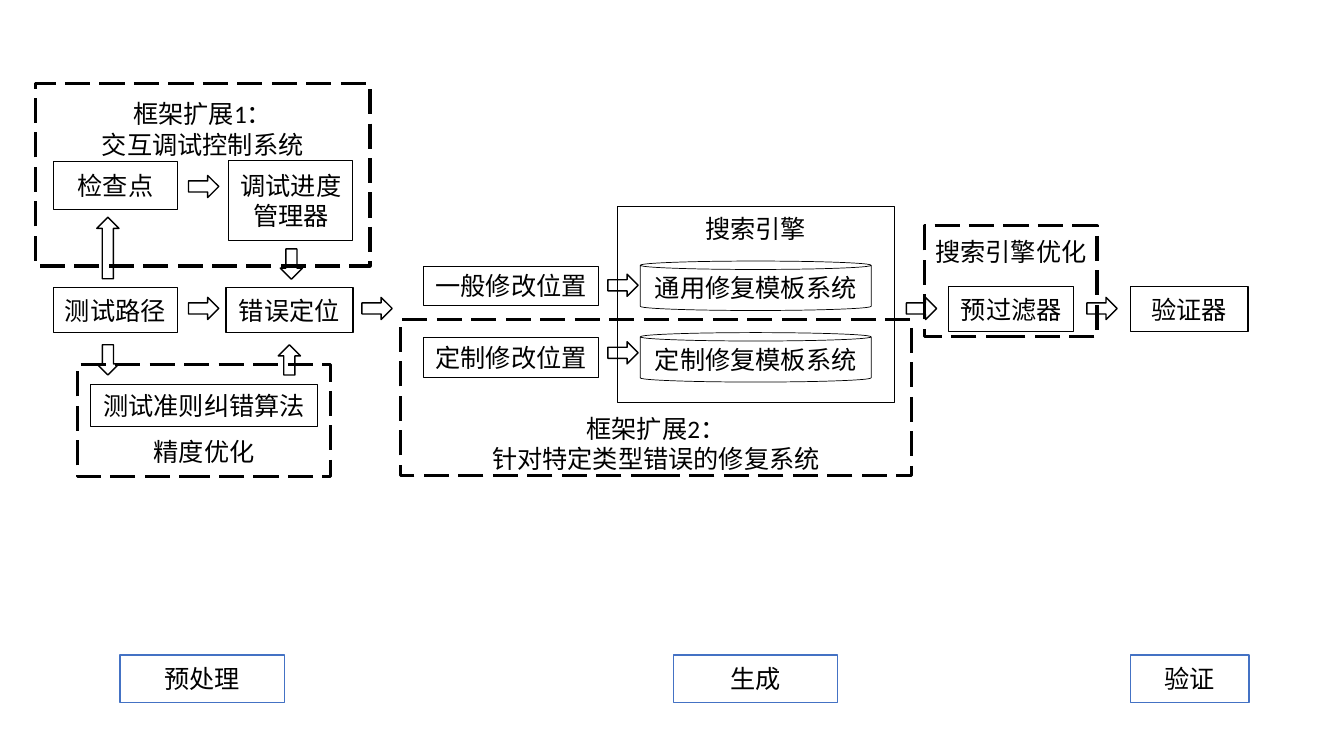
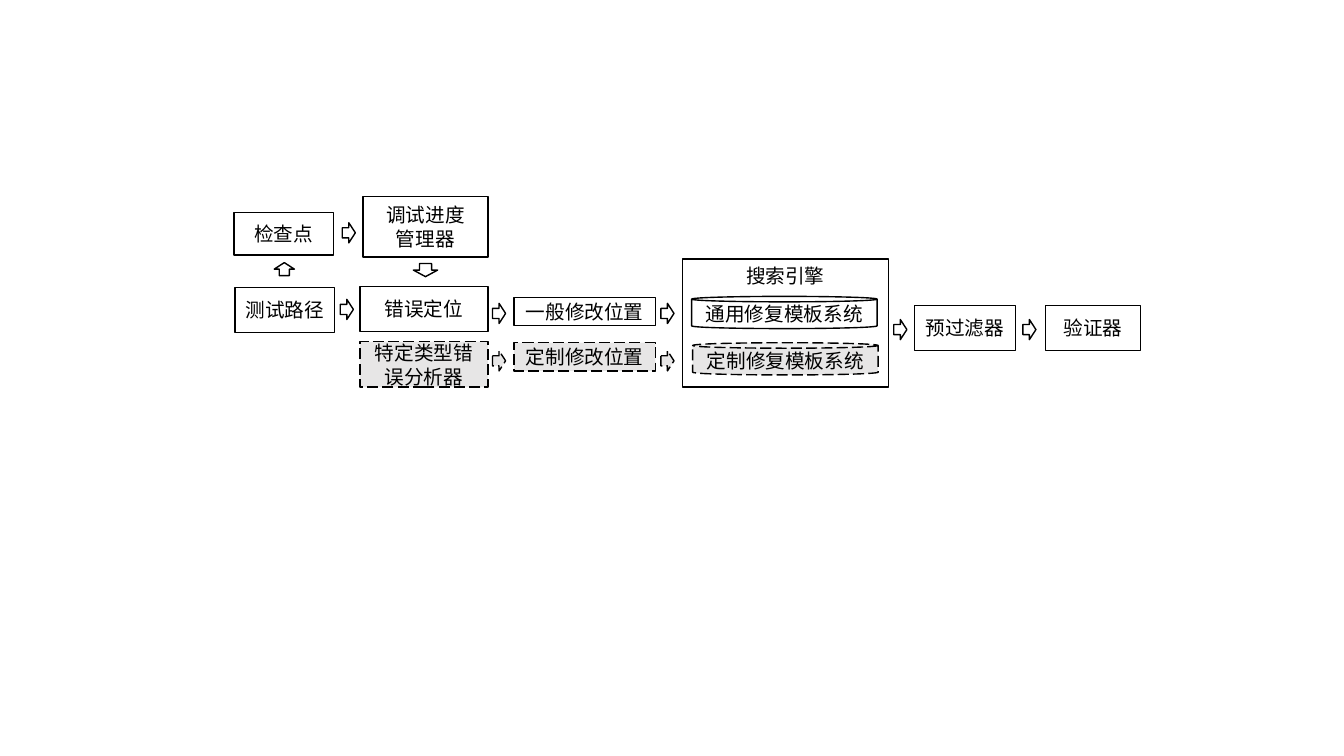
from dataclasses import dataclass
from typing import Any

from pptx import Presentation
from pptx import util as u
from pptx.dml import color
from pptx.enum import dml, shapes, text

# The grid has one-inch columns and rows.
COLUMNS, ROWS = 13.33, 7.5
CELL = u.Inches(1)
FONT = "Calibri"
BLACK, WHITE, GREY, BLUE = "000000", "FFFFFF", "E7E6E6", "4472C4"
RECT = shapes.MSO_SHAPE.RECTANGLE
CAN = shapes.MSO_SHAPE.CAN
ARROW = shapes.MSO_SHAPE.RIGHT_ARROW
TURNS = {"right": 0, "down": 90, "up": 270}
ANCHORS = {"top": text.MSO_ANCHOR.TOP, "middle": text.MSO_ANCHOR.MIDDLE,
           "bottom": text.MSO_ANCHOR.BOTTOM}
LID = 0.17


def cells(count):
    """Turn a number of grid cells into a length."""
    return u.Emu(round(count * CELL))


def paint(target, code):
    """Give a fill or font colour object the colour of a hex string."""
    target.rgb = color.RGBColor.from_string(code)


@dataclass
class Style:
    """Text size, fill, line width and arrow size of one diagram."""
    size: float
    fill: Any
    line: float
    arrow: tuple


@dataclass
class Region:
    """A part of a page; everything in it is placed from its top left corner."""
    page: Any
    style: Style
    left: float
    top: float

    def outline(self, kind, place, fill, line, edge=BLACK, dashed=False):
        """Add a preset shape with its fill and line."""
        x, y, width, height = place
        shape = self.page.shapes.add_shape(
            kind, cells(self.left + x), cells(self.top + y),
            cells(width), cells(height))
        shape.shadow.inherit = False
        if fill:
            shape.fill.solid()
            paint(shape.fill.fore_color, fill)
        else:
            shape.fill.background()
        paint(shape.line.color, edge)
        shape.line.width = u.Pt(line)
        if dashed:
            shape.line.dash_style = dml.MSO_LINE.LONG_DASH
        return shape

    def node(self, label, place, kind=RECT, line=None, edge=BLACK,
             fill=None, dashed=False, anchor="middle", inset=0.05):
        """Add a labelled shape."""
        shape = self.outline(kind, place, fill or self.style.fill,
                             line or self.style.line, edge, dashed)
        if kind == CAN:
            shape.adjustments[0] = LID
        frame = shape.text_frame
        frame.word_wrap = True
        frame.vertical_anchor = ANCHORS[anchor]
        frame.margin_top = frame.margin_bottom = cells(inset)
        frame.text = label
        for para in frame.paragraphs:
            para.alignment = text.PP_ALIGN.CENTER
            for span in para.runs:
                span.font.name = FONT
                span.font.size = u.Pt(self.style.size)
                paint(span.font.color, BLACK)

    def frame(self, label, place, anchor, inset):
        """Add a dashed frame with its caption at the top or bottom."""
        self.node(label, place, line=2.25, dashed=True,
                  anchor=anchor, inset=inset)

    def custom(self, label, place, kind=RECT):
        """Add a grey dashed node."""
        self.node(label, place, kind, fill=GREY, dashed=True)

    def arrow(self, x, y, way="right", length=None, breadth=None, dashed=False):
        """Add a block arrow centred on a point."""
        length = length or self.style.arrow[0]
        breadth = breadth or self.style.arrow[1]
        place = (x - length / 2, y - breadth / 2, length, breadth)
        fill = GREY if dashed else self.style.fill
        shape = self.outline(ARROW, place, fill, 1, dashed=dashed)
        shape.rotation = TURNS[way]


FRAMEWORK = Style(size=18, fill=None, line=0.5, arrow=(0.3, 0.22))
PIPELINE = Style(size=14, fill=WHITE, line=1, arrow=(0.13, 0.2))


def stage_row(region):
    """Label the three stages along the bottom."""
    for label, x, width in (("预处理", 0, 1.63), ("生成", 5.49, 1.63),
                            ("验证", 10.02, 1.18)):
        region.node(label, (x, 0, width, 0.47), line=1, edge=BLUE, fill=WHITE)


def framework_preprocessing(region):
    """Draw debugging control, fault localisation and precision tuning."""
    region.node("测试路径", (0.18, 2.02, 1.23, 0.45))
    region.node("错误定位", (1.89, 2.02, 1.26, 0.45), line=1)
    region.node("检查点", (0.18, 0.77, 1.23, 0.48))
    region.node("调试进度管理器", (1.92, 0.76, 1.23, 0.8))
    region.frame("框架扩展1：\n交互调试控制系统", (0, 0, 3.32, 1.81), "top", 0.15)
    region.node("测试准则纠错算法", (0.55, 2.98, 2.25, 0.42))
    region.frame("精度优化", (0.42, 2.79, 2.51, 1.11), "bottom", 0.1)
    for x, y in ((1.67, 1.02), (1.67, 2.23), (3.39, 2.23)):
        region.arrow(x, y)
    region.arrow(2.54, 1.79, "down")
    region.arrow(0.72, 1.63, "up", length=0.61)
    region.arrow(0.72, 2.74, "down")
    region.arrow(2.52, 2.74, "up")


def framework_generation(region):
    """Draw the search engine and the repair extension around it."""
    region.node("搜索引擎", (2.15, 0, 2.75, 1.94), anchor="top", inset=0.07)
    for name, y, arrow_y in (("一般", 0.59, 0.78), ("定制", 1.3, 1.45)):
        system = "通用" if name == "一般" else name
        region.node(name + "修改位置", (0.23, y, 1.74, 0.39))
        region.node(system + "修复模板系统", (2.38, y - 0.05, 2.29, 0.49), CAN)
        region.arrow(2.21, arrow_y)
    region.frame("框架扩展2：\n针对特定类型错误的修复系统",
                 (0, 1.12, 5.07, 1.55), "bottom", 0.02)


def framework_validation(region):
    """Draw the pre-filter in its frame and the validator."""
    region.node("预过滤器", (0.42, 0.6, 1.24, 0.45))
    region.node("验证器", (2.22, 0.6, 1.17, 0.45), line=1)
    region.frame("搜索引擎优化", (0.18, 0, 1.71, 1.1), "top", 0.1)
    for x in (0.15, 1.94):
        region.arrow(x, 0.82)


def pipeline_preprocessing(region):
    """Draw the path from checkpoints to fault localisation."""
    region.node("检查点", (0, 0.16, 0.99, 0.42))
    region.node("调试进度\n管理器", (1.28, 0, 1.24, 0.6))
    region.node("测试路径", (0.01, 0.9, 0.99, 0.45))
    region.node("错误定位", (1.25, 0.89, 1.27, 0.45))
    region.custom("特定类型错误分析器", (1.25, 1.44, 1.27, 0.45))
    region.arrow(1.14, 0.36)
    region.arrow(1.12, 1.12)
    region.arrow(1.9, 0.73, "down", breadth=0.24)
    region.arrow(0.5, 0.72, "up")


def pipeline_generation(region):
    """Draw the general and the custom row leading into the search engine."""
    region.node("搜索引擎", (1.88, 0, 2.04, 1.27), anchor="top")
    region.node("一般修改位置", (0.21, 0.38, 1.4, 0.28))
    region.node("通用修复模板系统", (1.97, 0.37, 1.84, 0.32), CAN)
    region.custom("定制修改位置", (0.21, 0.83, 1.4, 0.28))
    region.custom("定制修复模板系统", (1.98, 0.83, 1.84, 0.32), CAN)
    for y, dashed in ((0.54, False), (1.01, True)):
        for x in (0.06, 1.73):
            region.arrow(x, y, dashed=dashed)


def pipeline_validation(region):
    """Draw the pre-filter and the validator."""
    region.node("预过滤器", (0.2, 0, 1, 0.45))
    region.node("验证器", (1.5, 0, 0.94, 0.45))
    for x in (0.06, 1.34):
        region.arrow(x, 0.24)


SLIDES = (
    (FRAMEWORK, ((stage_row, 1.19, 6.5),
                 (framework_preprocessing, 0.35, 0.83),
                 (framework_generation, 3.97, 2.05),
                 (framework_validation, 8.99, 2.24))),
    (PIPELINE, ((pipeline_preprocessing, 2.32, 1.95),
                (pipeline_generation, 4.89, 2.57),
                (pipeline_validation, 8.87, 3.03))),
)


def build():
    """Build the deck and save it."""
    deck = Presentation()
    deck.slide_width, deck.slide_height = cells(COLUMNS), cells(ROWS)
    for style, regions in SLIDES:
        page = deck.slides.add_slide(deck.slide_layouts[6])
        for draw, left, top in regions:
            draw(Region(page, style, left, top))
    deck.save("out.pptx")


build()
